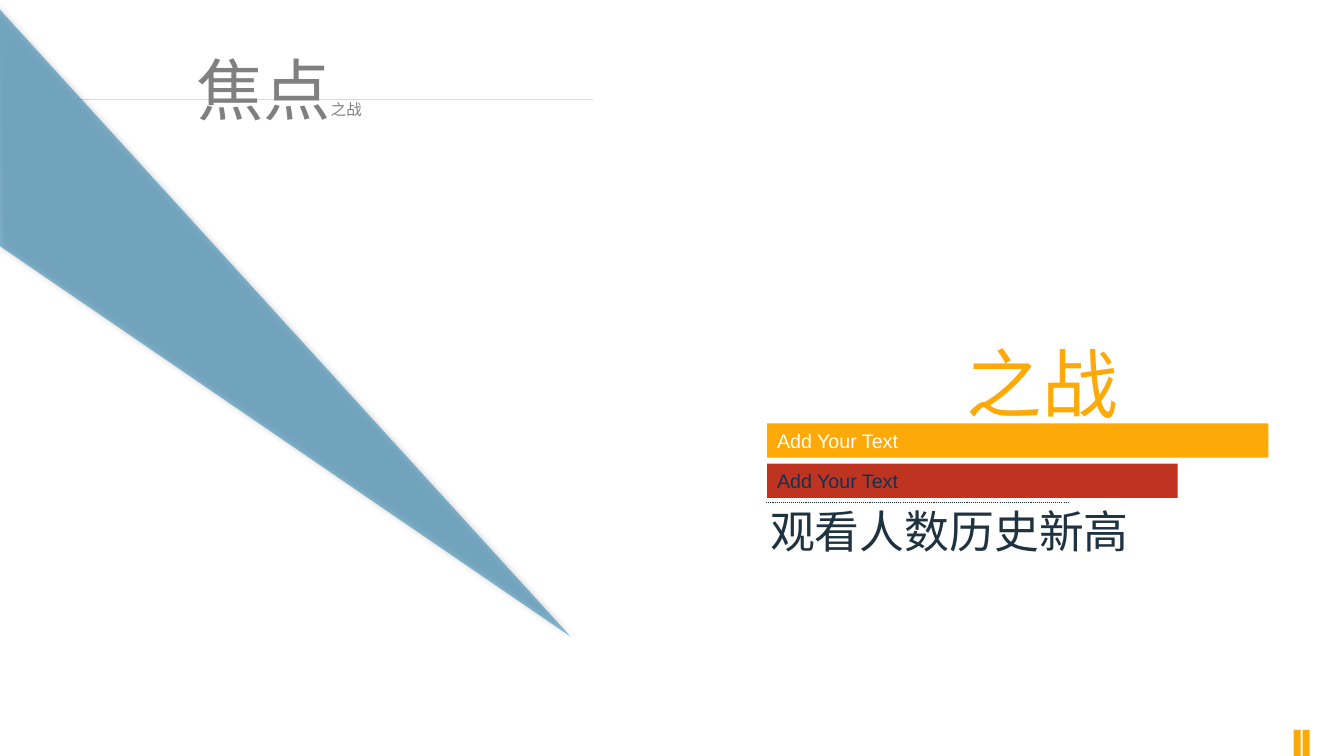
from lxml import etree
from pptx import Presentation
from pptx import util as u
from pptx.dml.color import RGBColor
from pptx.enum import dml, shapes, text
from pptx.oxml.ns import qn

COLORS = {
    "amber": "FDA907", "red": "BF3420", "blue": "1A7BAE", "navy": "103154",
    "slate": "1E3240", "gray": "808080", "rule": "D9D9D9",
    "white": "FFFFFF", "black": "000000",
}


def rgb(name):
    """Return the palette colour of that name."""
    return RGBColor.from_string(COLORS[name])


def box(left, top, width, height):
    """Turn four lengths in inches into slide units."""
    return [u.Inches(length) for length in (left, top, width, height)]


def add_alpha(color, percent):
    """Give a colour element an opacity in percent."""
    etree.SubElement(color, qn("a:alpha")).set("val", str(percent * 1000))


def add_block(slide, kind, place, color):
    """Add a plain filled preset shape."""
    block = slide.shapes.add_shape(kind, *box(*place))
    block.shadow.inherit = False
    block.fill.solid()
    block.fill.fore_color.rgb = rgb(color)
    block.line.fill.background()
    return block


def add_beam(slide):
    """Add the translucent slanted triangle with its soft shadow."""
    beam = add_block(slide, shapes.MSO_SHAPE.ISOSCELES_TRIANGLE, (-2.02, 2.92, 8.48, 1.58), "blue")
    beam.adjustments[0] = 0.213
    beam.rotation = 227.7
    properties = beam._element.spPr
    properties.find(qn("a:xfrm")).set("flipH", "1")
    add_alpha(properties.find(qn("a:solidFill"))[0], 50)
    glow = etree.SubElement(properties.find(qn("a:effectLst")), qn("a:outerShdw"))
    glow.set("blurRad", str(u.Pt(5)))
    shade = etree.SubElement(glow, qn("a:srgbClr"))
    shade.set("val", COLORS["black"])
    add_alpha(shade, 40)


def add_rule(slide, left, right, top, color, dash=None):
    """Add a thin horizontal line."""
    ends = [u.Inches(length) for length in (left, top, right, top)]
    rule = slide.shapes.add_connector(shapes.MSO_CONNECTOR.STRAIGHT, *ends)
    rule.line.color.rgb = rgb(color)
    rule.line.width = u.Pt(0.75)
    if dash:
        rule.line.dash_style = dash
    etree.SubElement(rule._element.spPr, qn("a:effectLst"))


def write(frame, runs, color, font="Arial", spacing=None, **frame_format):
    """Write one left-aligned paragraph of (wording, size) runs."""
    for attribute, value in {"word_wrap": True, **frame_format}.items():
        setattr(frame, attribute, value)
    paragraph = frame.paragraphs[0]
    paragraph.alignment = text.PP_ALIGN.LEFT
    if spacing:
        paragraph.line_spacing = spacing
    for wording, size in runs:
        run = paragraph.add_run()
        run.text = wording
        for attribute, value in {"name": font, "size": u.Pt(size)}.items():
            setattr(run.font, attribute, value)
        run.font.color.rgb = rgb(color)


def add_label(slide, place, runs, color, **text_format):
    """Add a text box holding one paragraph."""
    label = slide.shapes.add_textbox(*box(*place))
    write(label.text_frame, runs, color, **text_format)


def add_bar(slide, top, width, color, text_color):
    """Add a coloured bar with its caption."""
    bar = add_block(slide, shapes.MSO_SHAPE.RECTANGLE, (7.61, top, width, 0.34), color)
    write(bar.text_frame, [("Add Your Text", 14)], text_color,
          vertical_anchor=text.MSO_ANCHOR.MIDDLE)


def main():
    """Build the slide and save it."""
    deck = Presentation()
    deck.slide_width, deck.slide_height = u.Inches(13.33), u.Inches(7.5)
    slide = deck.slides.add_slide(deck.slide_layouts[6])

    for left in (12.92, 12.83):
        add_block(slide, shapes.MSO_SHAPE.RECTANGLE, (left, 7.24, 0.07, 0.26), "amber")
    add_rule(slide, 0.76, 5.88, 0.99, "rule")
    add_beam(slide)

    add_label(slide, (7.47, 3.29, 4.21, 1.01), [("之战", 54)], "amber",
              margin_left=u.Inches(2.12))
    add_rule(slide, 7.6, 10.6, 4.99, "navy", dml.MSO_LINE.ROUND_DOT)
    add_bar(slide, 4.2, 4.97, "amber", "white")
    add_bar(slide, 4.6, 4.07, "red", "navy")
    add_label(slide, (7.54, 4.95, 3.91, 0.64), [("观看人数历史新高", 32)], "slate")
    add_label(slide, (1.85, 0.52, 3.59, 0.59), [("焦点", 48), ("之战", 11)], "gray",
              font="Noto Sans CJK SC", spacing=0.9)

    deck.save("out.pptx")


if __name__ == "__main__":
    main()
